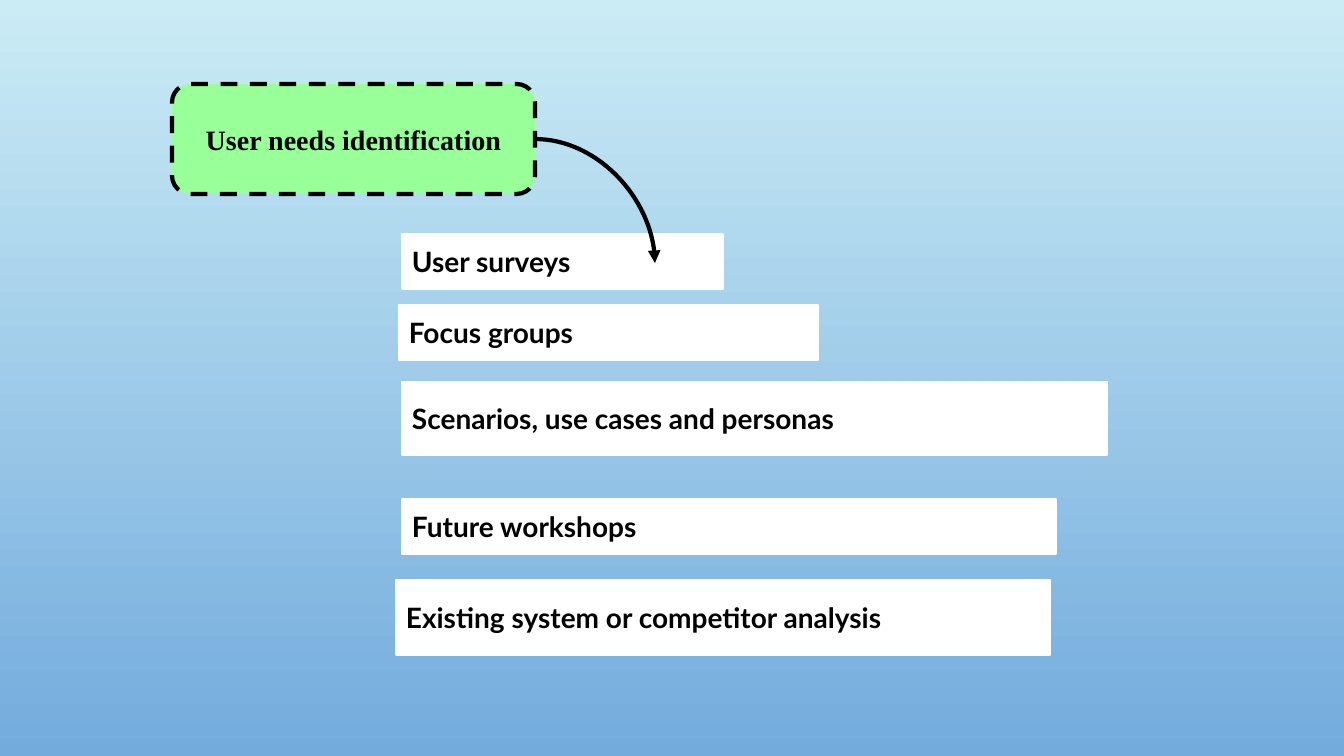
import pptx
import pptx.dml.color
import pptx.enum.dml
import pptx.enum.shapes
import pptx.enum.text
import pptx.oxml.ns
import pptx.util
from lxml import etree

EMU_PER_PX = 914400 / 100.8
SHAPES = pptx.enum.shapes.MSO_SHAPE
ALIGN = pptx.enum.text.PP_ALIGN


def px(n):
    """Turn pixels into EMU."""
    return pptx.util.Emu(round(n * EMU_PER_PX))


def rgb(value):
    """Turn a hex string into a colour."""
    return pptx.dml.color.RGBColor.from_string(value)


class Board:
    """Holds the text style and the current slide."""

    ink = "000000"
    size = 20

    def __init__(self, slide):
        """Keep the slide to draw on."""
        self.s = slide

    def background(self, top, bottom):
        """Fill the background with a gradient from top to bottom."""
        fill = self.s.background.fill
        fill.gradient()
        fill.gradient_angle = 270
        for stop, position, colour in zip(fill.gradient_stops, (0, 1), (top, bottom)):
            stop.position = position
            stop.color.rgb = rgb(colour)

    def stroke(self, line, colour, width):
        """Set the colour and width of a line."""
        line.fill.solid()
        line.fill.fore_color.rgb = rgb(colour)
        line.width = pptx.util.Pt(width)

    def box(self, kind, at, text, font, fill, line, width, align=ALIGN.LEFT):
        """Add a filled shape with one line of bold text."""
        sp = self.s.shapes.add_shape(kind, *map(px, at))
        sp.shadow.inherit = False
        sp.fill.solid()
        sp.fill.fore_color.rgb = rgb(fill)
        self.stroke(sp.line, line, width)
        tf = sp.text_frame
        tf.word_wrap = True
        tf.vertical_anchor = pptx.enum.text.MSO_ANCHOR.MIDDLE
        p = tf.paragraphs[0]
        p.alignment = align
        r = p.add_run()
        r.text = text
        r.font.name = font
        r.font.size = pptx.util.Pt(self.size)
        r.font.bold = True
        r.font.color.rgb = rgb(self.ink)
        return sp

    def curved_arrow(self, source, site, end, width):
        """Add a quarter-curve arrow from a shape's site to a point."""
        x, y = map(px, end)
        cxn = self.s.shapes.add_connector(
            pptx.enum.shapes.MSO_CONNECTOR.CURVE, source.left, source.top, x, y)
        cxn.begin_connect(source, site)
        self.stroke(cxn.line, self.ink, width)
        qn = pptx.oxml.ns.qn
        sp_pr = cxn._element.spPr
        sp_pr.find(qn("a:prstGeom")).set("prst", "curvedConnector2")
        etree.SubElement(sp_pr.find(qn("a:ln")), qn("a:tailEnd"), type="triangle")
        etree.SubElement(sp_pr, qn("a:effectLst"))


METHODS = [
    ("User surveys", (402, 234, 321, 55)),
    ("Focus groups", (399, 305, 419, 55)),
    ("Scenarios, use cases and personas", (402, 382, 705, 73)),
    ("Future workshops", (402, 499, 654, 55)),
    ("Existing system or competitor analysis", (396, 580, 654, 75)),
]

prs = pptx.Presentation()
prs.slide_width, prs.slide_height = px(1344), px(756)
board = Board(prs.slides.add_slide(prs.slide_layouts[6]))
board.background("CBECF5", "73ABDD")

for name, at in METHODS:
    board.box(SHAPES.RECTANGLE, at, name, "Lato", "FFFFFF", "FFFFFF", 1.25)

needs = board.box(SHAPES.ROUNDED_RECTANGLE, (172, 84, 363, 110),
                  "User needs identification", "Times New Roman",
                  "99FF99", "000000", 3, ALIGN.CENTER)
needs.line.dash_style = pptx.enum.dml.MSO_LINE.DASH
board.curved_arrow(needs, 3, (655, 263), 3)

prs.save("out.pptx")
